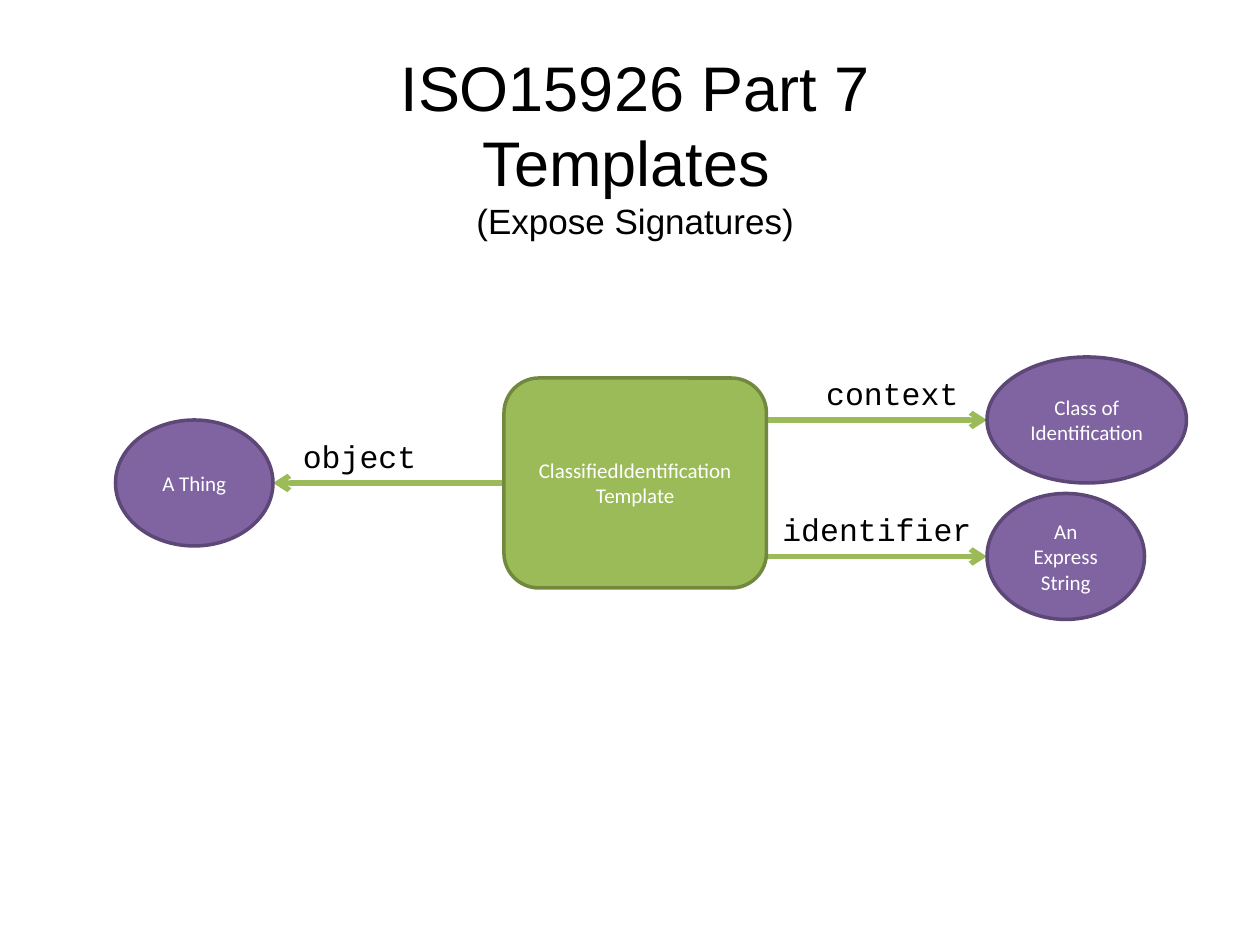
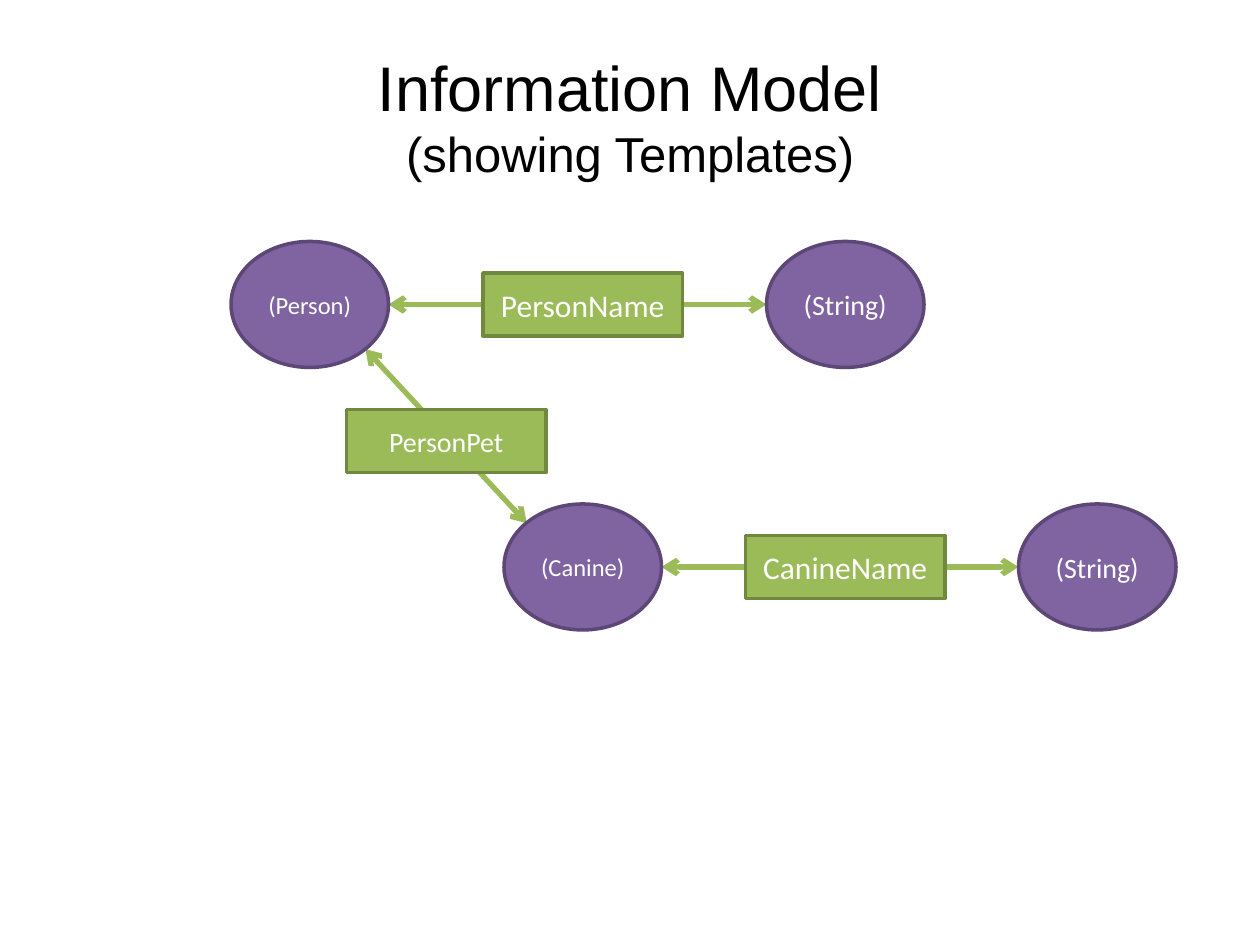
"""Build two slides on ISO15926 templates and the information model that uses them."""
from lxml import etree
from pptx import Presentation
from pptx.dml.color import RGBColor
from pptx.enum.shapes import MSO_CONNECTOR, MSO_SHAPE
from pptx.enum.text import MSO_ANCHOR, MSO_AUTO_SIZE, PP_ALIGN
from pptx.oxml.ns import qn
from pptx.util import Pt

ELLIPSE = MSO_SHAPE.OVAL
RECTANGLE = MSO_SHAPE.RECTANGLE
ROUNDED = MSO_SHAPE.ROUNDED_RECTANGLE
STRAIGHT = MSO_CONNECTOR.STRAIGHT
CENTER, LEFT = PP_ALIGN.CENTER, PP_ALIGN.LEFT
MIDDLE = MSO_ANCHOR.MIDDLE
GROW = MSO_AUTO_SIZE.SHAPE_TO_FIT_TEXT

COLORS = {
    "template": "9BBB59",
    "template_line": "71893F",
    "thing": "8064A2",
    "thing_line": "5C4776",
    "node_text": "FFFFFF",
    "text": "000000",
}
TITLE_TOP = 24
LABEL_SIZE, LABEL_HEIGHT = 18, 29
LABEL_CHARACTER_WIDTH, LABEL_MARGINS = 10.8, 14.4

SLIDES = [
    {
        "title": "ISO15926 Part 7\vTemplates \v(Expose Signatures)",
        "title_box": (174, 378, 118),
        "title_sizes": (36, 36, 20),
        "arrows": [
            (438, 240, 564, 240, False),
            (288, 276, 156, 276, False),
            (438, 318, 564, 318, False),
        ],
        "labels": [("context", 465, 210), ("identifier", 440, 288), ("object", 166, 246)],
        "nodes": [
            (ROUNDED, "ClassifiedIdentification Template", 12, 288, 216, 150, 120),
            (ELLIPSE, "Class of Identification", 12, 564, 204, 114, 72),
            (ELLIPSE, "An Express String", 12, 564, 282, 90, 72),
            (ELLIPSE, "A Thing", 12, 66, 240, 90, 72),
        ],
    },
    {
        "title": "Information Model\v(showing Templates)",
        "title_box": (192, 336, 84),
        "title_sizes": (36, 28),
        "arrows": [
            (301, 299, 208.8, 199.5, True),
            (276, 174, 222, 174, False),
            (390, 174, 438, 174, False),
            (426, 324, 378, 324, False),
            (540, 324, 582, 324, False),
        ],
        "labels": [],
        "nodes": [
            (ELLIPSE, "(Canine)", 14, 288, 288, 90, 72),
            (ELLIPSE, "(Person)", 14, 132, 138, 90, 72),
            (RECTANGLE, "PersonPet", 16, 198, 234, 114, 36),
            (RECTANGLE, "PersonName", 18, 276, 156, 114, 36),
            (ELLIPSE, "(String)", 16, 438, 138, 90, 72),
            (RECTANGLE, "CanineName", 18, 426, 306, 114, 36),
            (ELLIPSE, "(String)", 16, 582, 288, 90, 72),
        ],
    },
]


def write_text(shape, text, font_name, sizes, color, alignment=CENTER):
    """Fill a shape with one paragraph, giving each run its own size."""
    paragraph = shape.text_frame.paragraphs[0]
    paragraph.text = text
    paragraph.alignment = alignment
    for run, size in zip(paragraph.runs, sizes):
        run.font.name = font_name
        run.font.size = Pt(size)
        run.font.color.rgb = RGBColor.from_string(COLORS[color])


def add_arrow(slide, start_x, start_y, end_x, end_y, two_headed):
    """Draw a connector with an open arrowhead at its end, or at both ends."""
    connector = slide.shapes.add_connector(
        STRAIGHT, Pt(start_x), Pt(start_y), Pt(end_x), Pt(end_y))
    connector.line.color.rgb = RGBColor.from_string(COLORS["template"])
    connector.line.width = Pt(3)
    line = connector.line._get_or_add_ln()
    for tag in ("a:headEnd", "a:tailEnd") if two_headed else ("a:tailEnd",):
        etree.SubElement(line, qn(tag), type="arrow")
    etree.SubElement(connector._element.spPr, qn("a:effectLst"))


presentation = Presentation()
presentation.slide_width = Pt(720)
presentation.slide_height = Pt(540)
blank_layout = presentation.slide_layouts[6]

for content in SLIDES:
    slide = presentation.slides.add_slide(blank_layout)

    left, width, height = content["title_box"]
    title = slide.shapes.add_textbox(Pt(left), Pt(TITLE_TOP), Pt(width), Pt(height))
    title.text_frame.word_wrap = True
    title.text_frame.auto_size = GROW
    write_text(title, content["title"], "Arial", content["title_sizes"], "text")

    for arrow in content["arrows"]:
        add_arrow(slide, *arrow)

    for text, left, top in content["labels"]:
        width = LABEL_CHARACTER_WIDTH * len(text) + LABEL_MARGINS
        label = slide.shapes.add_textbox(Pt(left), Pt(top), Pt(width), Pt(LABEL_HEIGHT))
        label.text_frame.word_wrap = False
        label.text_frame.auto_size = GROW
        write_text(label, text, "Courier New", [LABEL_SIZE], "text", LEFT)

    for kind, text, size, left, top, width, height in content["nodes"]:
        role = "thing" if kind == ELLIPSE else "template"
        node = slide.shapes.add_shape(kind, Pt(left), Pt(top), Pt(width), Pt(height))
        node.shadow.inherit = False
        node.fill.solid()
        node.fill.fore_color.rgb = RGBColor.from_string(COLORS[role])
        node.line.color.rgb = RGBColor.from_string(COLORS[f"{role}_line"])
        node.line.width = Pt(2)
        node.text_frame.word_wrap = True
        node.text_frame.vertical_anchor = MIDDLE
        write_text(node, text, "Calibri", [size], "node_text")

presentation.save("out.pptx")
